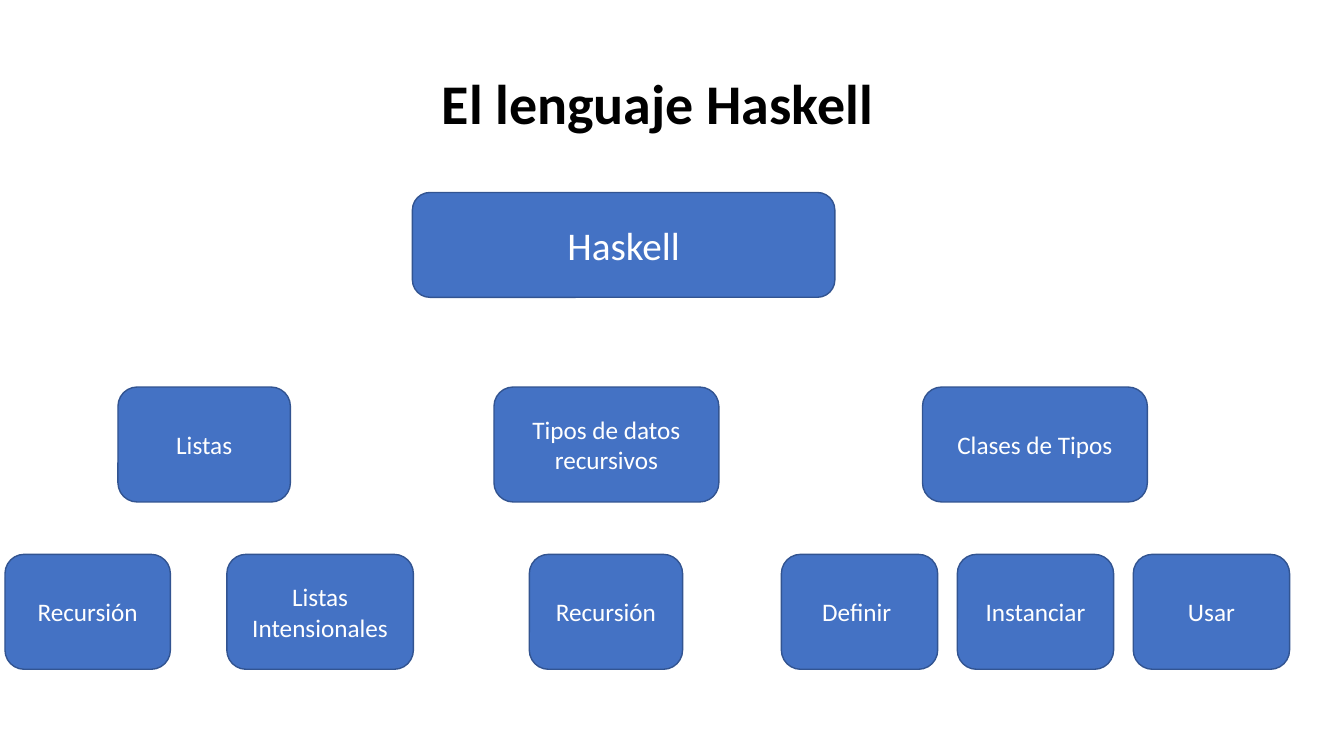
"""Builds a slide with a topic tree of the Haskell language."""
from pptx import Presentation
from pptx.dml.color import RGBColor
from pptx.enum.shapes import MSO_SHAPE
from pptx.enum.text import MSO_ANCHOR, PP_ALIGN
from pptx.util import Inches, Pt

TITLE = "El lenguaje Haskell"
LEVELS = [
    {"top": 1.91, "high": 1.04, "size": 28, "nodes": [(4.09, 4.19, ["Haskell"])]},
    {"top": 3.84, "high": 1.14, "size": 18, "nodes": [
        (1.17, 1.71, ["Listas"]),
        (4.9, 2.23, ["Tipos de datos recursivos"]),
        (9.15, 2.23, ["Clases de Tipos"]),
    ]},
    {"top": 5.5, "high": 1.14, "size": 18, "nodes": [
        (0.05, 1.64, ["Recursión"]),
        (2.25, 1.85, ["Listas", "Intensionales"]),
        (5.25, 1.52, ["Recursión"]),
        *[(7.75 + 1.745 * step, 1.55, [word])
          for step, word in enumerate(["Definir ", "Instanciar", "Usar"])],
    ]},
]
COLORS = {"title": "000000", "node": "4472C4", "edge": "325491", "label": "FFFFFF"}
FONT = "Calibri"


def color(name):
    return RGBColor.from_string(COLORS[name])


def write(shape, lines, size, ink, bold=False, pitch=None):
    frame = shape.text_frame
    frame.word_wrap = True
    frame.vertical_anchor = MSO_ANCHOR.MIDDLE
    for index, line in enumerate(lines):
        para = frame.add_paragraph() if index else frame.paragraphs[0]
        para.alignment = PP_ALIGN.CENTER
        para.line_spacing = pitch
        run = para.add_run()
        run.text = line
        run.font.name = FONT
        run.font.size = Pt(size)
        run.font.bold = bold
        run.font.color.rgb = color(ink)


def add_node(slide, box, lines, size):
    node = slide.shapes.add_shape(MSO_SHAPE.ROUNDED_RECTANGLE, *map(Inches, box))
    node.shadow.inherit = False
    node.fill.solid()
    node.fill.fore_color.rgb = color("node")
    node.line.color.rgb = color("edge")
    node.line.width = Pt(1)
    write(node, lines, size, "label")


deck = Presentation()
deck.slide_width, deck.slide_height = Inches(13.33), Inches(7.5)
slide = deck.slides.add_slide(deck.slide_layouts[6])

title = slide.shapes.add_textbox(*map(Inches, (0.77, 0.33, 11.5, 1.45)))
write(title, [TITLE], 40, "title", bold=True, pitch=0.9)

for level in LEVELS:
    for left, width, lines in level["nodes"]:
        box = (left, level["top"], width, level["high"])
        add_node(slide, box, lines, level["size"])

deck.save("out.pptx")
